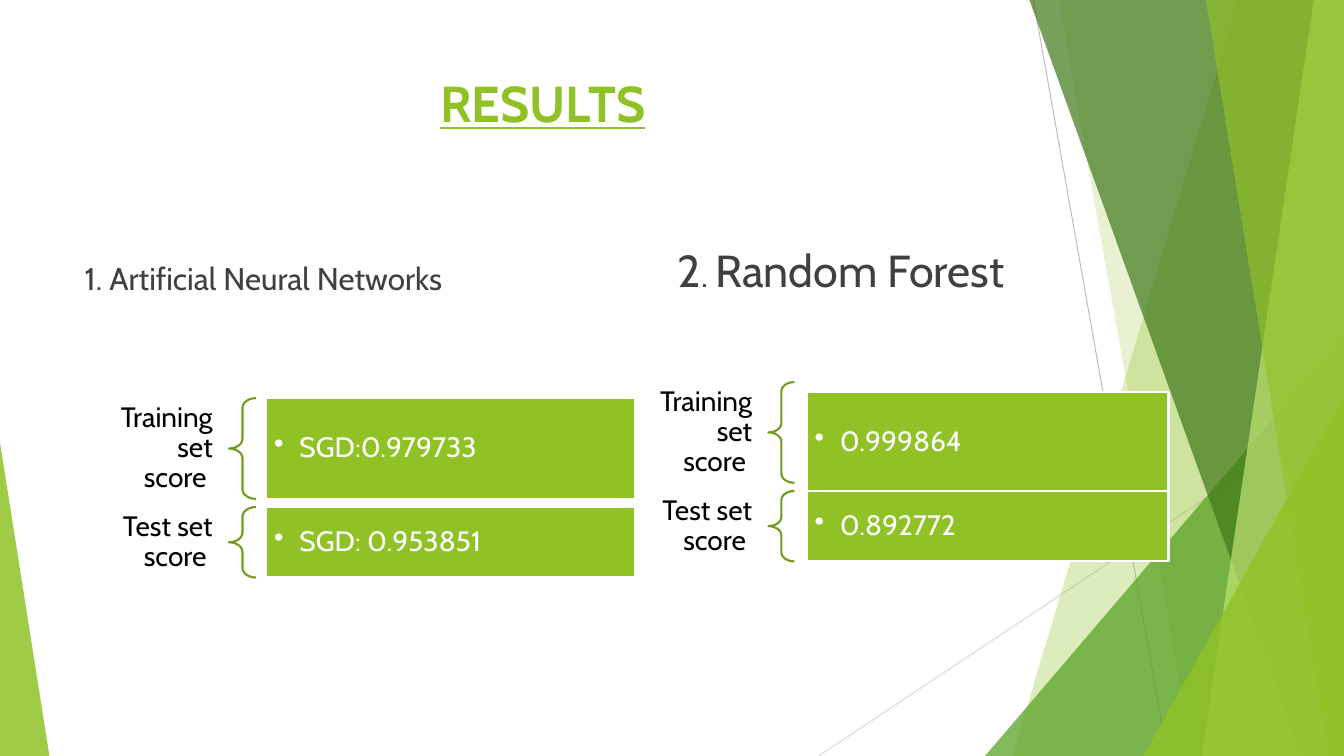
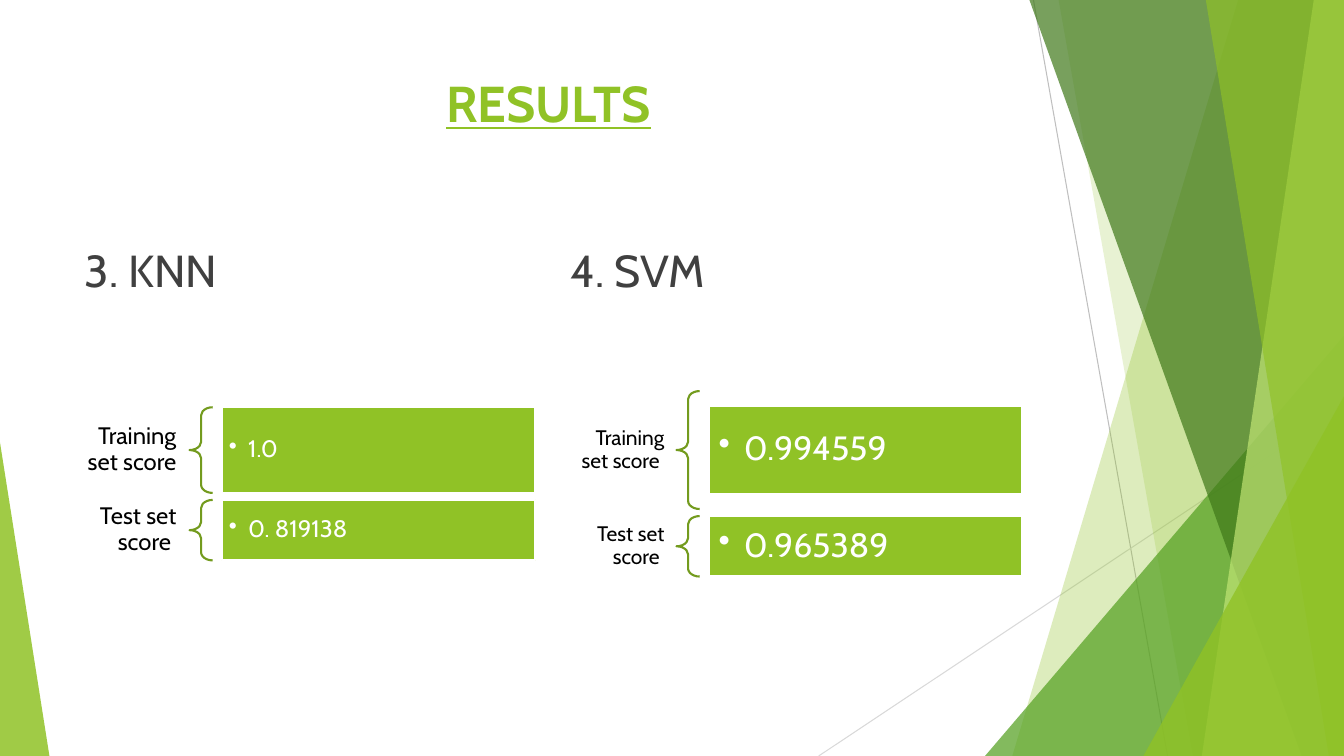
from pptx import Presentation
from pptx.dml.color import RGBColor
from pptx.enum.shapes import MSO_CONNECTOR, MSO_SHAPE
from pptx.enum.text import MSO_ANCHOR, MSO_AUTO_SIZE, PP_ALIGN
from pptx.oxml.ns import qn
from pptx.oxml.xmlchemy import OxmlElement
from pptx.util import Inches, Pt

STRAIGHT = MSO_CONNECTOR.STRAIGHT
TRIANGLE = MSO_SHAPE.ISOSCELES_TRIANGLE
LEFT_BRACE = MSO_SHAPE.LEFT_BRACE
RECTANGLE = MSO_SHAPE.RECTANGLE
TOP, MIDDLE, BOTTOM = MSO_ANCHOR.TOP, MSO_ANCHOR.MIDDLE, MSO_ANCHOR.BOTTOM
LEFT, CENTER, RIGHT = PP_ALIGN.LEFT, PP_ALIGN.CENTER, PP_ALIGN.RIGHT
NO_AUTOFIT = MSO_AUTO_SIZE.NONE

GREEN = RGBColor(0x90, 0xC2, 0x26)
MID_GREEN = RGBColor(0x54, 0xA0, 0x21)
DARK_GREEN = RGBColor(0x3F, 0x78, 0x19)
PALE_GREEN = RGBColor(0xC0, 0xE4, 0x74)
BRACE_GREEN = RGBColor(0x73, 0x9B, 0x1E)
GREY = RGBColor(0xBF, 0xBF, 0xBF)
LIGHT_GREY = RGBColor(0xD9, 0xD9, 0xD9)
DARK_GREY = RGBColor(0x40, 0x40, 0x40)
BLACK = RGBColor(0, 0, 0)
WHITE = RGBColor(0xFF, 0xFF, 0xFF)
FONT = "Cabin"
WIDTH, HEIGHT = 13.33, 7.5

LINES = [
    ((10.25, 0), (11.58, HEIGHT), GREY),
    ((WIDTH, 4.03), (8.12, HEIGHT), LIGHT_GREY),
]
FACETS = [
    ("band", 12.28, 10.04, GREEN, 30),
    ("band", 10.5, 11.83, GREEN, 20),
    ("triangle", (9.77, 3.33, 3.56, 4.17), 1, MID_GREEN, 72),
    ("band", 10.21, 12.91, DARK_GREEN, 70),
    ("band", 13.03, 11.92, PALE_GREEN, 70),
    ("band", 11.96, 13.18, GREEN, 65),
    ("triangle", (11.34, 3.93, 1.99, 3.57), 1, GREEN, 80),
    ("triangle", (0, 4.39, 0.49, 3.11), 0, GREEN, 85),
]

TRAINING, TEST = "Training set score ", "Test set score "
NEURAL = {
    "heading": [("1. Artificial Neural Networks", 22.4)],
    "heading_box": (0.74, 4.58),
    "label": (0.92, 1.35, 20, 0.16, 0.06), "brace_width": 0.27,
    "value": (2.64, 3.66, 20, 0.08, 0.25),
    "rows": [(TRAINING, 3.95, 1, 3.95, 1, "SGD:0.979733"),
             (TEST, 5.03, 0.7, 5.03, 0.7, "SGD: 0.953851")],
}
FOREST = {
    "heading": [("2", 32), (". ", 24), ("Random Forest", 32)],
    "heading_box": (6.62, 5.14),
    "label": (6.3, 1.32, 20, 0.16, 0.06), "brace_width": 0.26,
    "value": (8, 3.59, 20, 0.08, 0.25),
    "rows": [(TRAINING, 3.79, 1, 3.89, 1, "0.999864"),
             (TEST, 4.87, 0.7, 4.87, 0.7, "0.892772")],
}
KNN = {
    "heading": [("3. KNN", 32)],
    "heading_box": (0.74, 4.58),
    "label": (0.74, 1.14, 17, 0.13, 0.05), "brace_width": 0.23,
    "value": (2.2, 3.11, 17, 0.07, 0.19),
    "rows": [(TRAINING, 4.04, 0.85, 4.04, 0.85, "1.0"),
             (TEST, 4.96, 0.6, 4.96, 0.6, "0. 819138")],
}
SVM = {
    "heading": [("4. SVM", 32)],
    "heading_box": (5.56, 4.58),
    "label": (5.57, 1.14, 15, 0.12, 0.04), "brace_width": 0.23,
    "value": (7.03, 3.11, 24, 0.1, 0.25),
    "rows": [(TRAINING, 3.88, 1.17, 4.03, 0.87, "0.994559"),
             (TEST, 5.12, 0.6, 5.12, 0.6, "0.965389")],
}
SLIDES = [
    ([("RESULTS", True), (" ", False)], [NEURAL, FOREST]),
    ([("RESULTS", True)], [KNN, SVM]),
]


def frame_text(shape, anchor, alignment, inset_x=0.1, inset_y=0.05):
    frame = shape.text_frame
    frame.word_wrap = True
    frame.auto_size = NO_AUTOFIT
    frame.vertical_anchor = anchor
    frame.margin_left = frame.margin_right = Inches(inset_x)
    frame.margin_top = frame.margin_bottom = Inches(inset_y)
    paragraph = frame.paragraphs[0]
    paragraph.alignment = alignment
    paragraph.space_before = Pt(0)
    return paragraph


def add_run(paragraph, text, size, color, strong=False):
    run = paragraph.add_run()
    run.text = text
    run.font.name = FONT
    run.font.size = Pt(size)
    run.font.color.rgb = color
    run.font.bold = strong
    run.font.underline = strong


presentation = Presentation()
presentation.slide_width = Inches(WIDTH)
presentation.slide_height = Inches(HEIGHT)

layout = presentation.slide_layouts.get_by_name("Comparison")
for placeholder in list(layout.placeholders):
    if placeholder.placeholder_format.idx not in (0, 1, 3):
        layout.shapes.element.remove(placeholder.element)
layout_title = layout.placeholders[0]
layout_title.left, layout_title.top = Inches(0.74), Inches(0.67)
layout_title.width, layout_title.height = Inches(9.4), Inches(1.44)

slides = [presentation.slides.add_slide(layout) for _ in SLIDES]

canvas = slides[0].shapes
decoration = []
for start, end, color in LINES:
    line = canvas.add_connector(STRAIGHT, *map(Inches, start + end))
    line.line.color.rgb = color
    line.line.width = Pt(0.75)
    line.element.spPr.append(OxmlElement("a:effectLst"))
    decoration.append(line)

for kind, geometry, option, color, opacity in FACETS:
    if kind == "band":
        builder = canvas.build_freeform(Inches(geometry), 0)
        corners = [(WIDTH, 0), (WIDTH, HEIGHT), (option, HEIGHT)]
        builder.add_line_segments([(Inches(x), Inches(y)) for x, y in corners], close=True)
        facet = builder.convert_to_shape()
    else:
        facet = canvas.add_shape(TRIANGLE, *map(Inches, geometry))
        facet.adjustments[0] = option
    facet.shadow.inherit = False
    facet.fill.solid()
    facet.fill.fore_color.rgb = color
    facet.line.fill.background()
    alpha = OxmlElement("a:alpha")
    alpha.set("val", str(opacity * 1000))
    facet.element.spPr.find(".//" + qn("a:srgbClr")).append(alpha)
    decoration.append(facet)

for position, shape in enumerate(decoration):
    shape.element.find(".//" + qn("p:cNvPr")).set("id", str(100 + position))
    layout.shapes.element.insert(2 + position, shape.element)

for slide, (title_runs, panels) in zip(slides, SLIDES):
    paragraph = frame_text(slide.shapes.title, TOP, CENTER)
    for text, strong in title_runs:
        add_run(paragraph, text, 36, GREEN, strong)

    for index, panel in zip((1, 3), panels):
        heading = slide.placeholders[index]
        left, width = panel["heading_box"]
        heading.left, heading.top = Inches(left), Inches(2.36)
        heading.width, heading.height = Inches(width), Inches(0.63)
        paragraph = frame_text(heading, BOTTOM, LEFT)
        for text, size in panel["heading"]:
            add_run(paragraph, text, size, DARK_GREY)

        label_left, label_width, label_size, inset_x, inset_y = panel["label"]
        value_left, value_width, value_size, value_inset, indent = panel["value"]
        for text, top, height, value_top, value_height, value in panel["rows"]:
            label = slide.shapes.add_textbox(
                Inches(label_left), Inches(top), Inches(label_width), Inches(height))
            paragraph = frame_text(label, MIDDLE, RIGHT, inset_x, inset_y)
            paragraph.line_spacing = 0.9
            add_run(paragraph, text, label_size, BLACK)

            brace = slide.shapes.add_shape(
                LEFT_BRACE, Inches(label_left + label_width), Inches(top),
                Inches(panel["brace_width"]), Inches(height))
            brace.adjustments[0], brace.adjustments[1] = 0.35, 0.5
            brace.shadow.inherit = False
            brace.fill.background()
            brace.line.color.rgb = BRACE_GREEN
            brace.line.width = Pt(1.5)

            score = slide.shapes.add_shape(
                RECTANGLE, Inches(value_left), Inches(value_top),
                Inches(value_width), Inches(value_height))
            score.shadow.inherit = False
            score.fill.solid()
            score.fill.fore_color.rgb = GREEN
            score.line.color.rgb = WHITE
            score.line.width = Pt(1.5)
            paragraph = frame_text(score, MIDDLE, LEFT, value_inset, value_inset)
            paragraph.line_spacing = 0.9
            properties = paragraph._p.get_or_add_pPr()
            properties.set("marL", str(Inches(indent)))
            properties.set("indent", str(-Inches(indent)))
            bullet = OxmlElement("a:buChar")
            bullet.set("char", "•")
            properties.append(bullet)
            add_run(paragraph, value, value_size, WHITE)

presentation.save("out.pptx")
